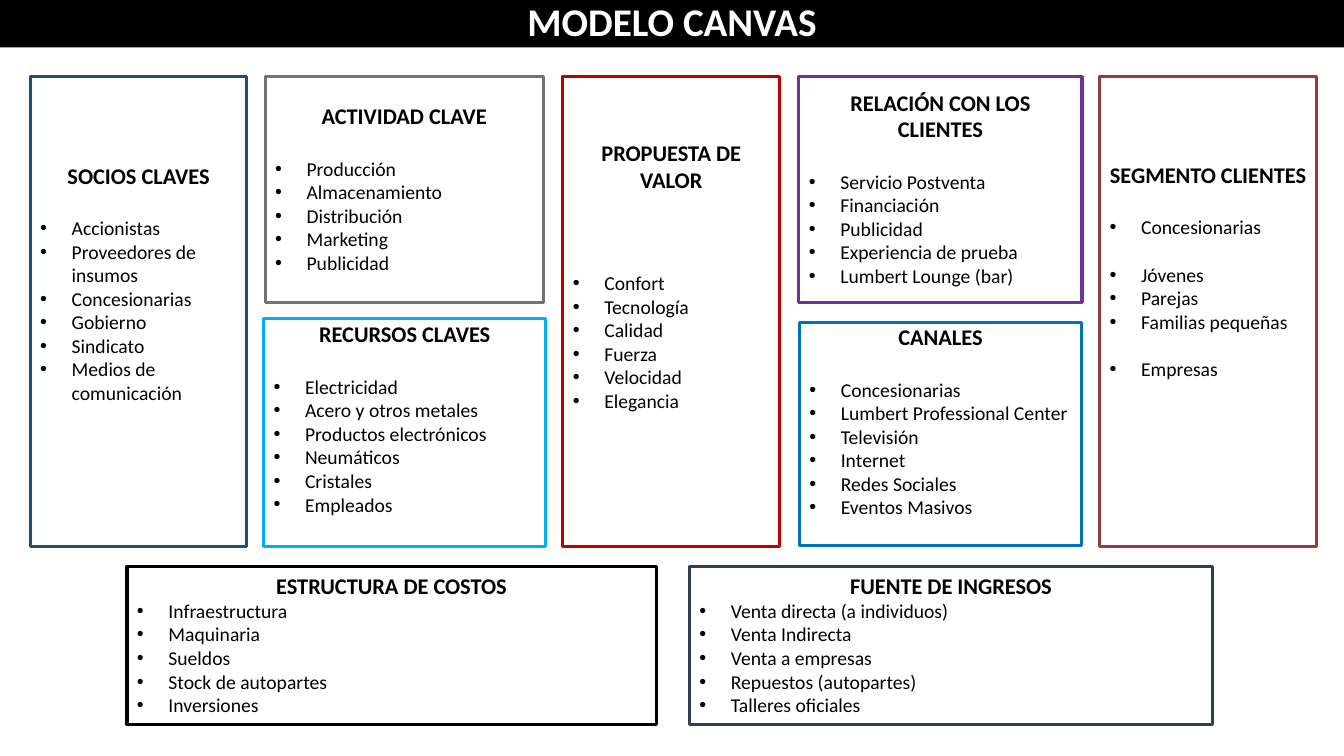
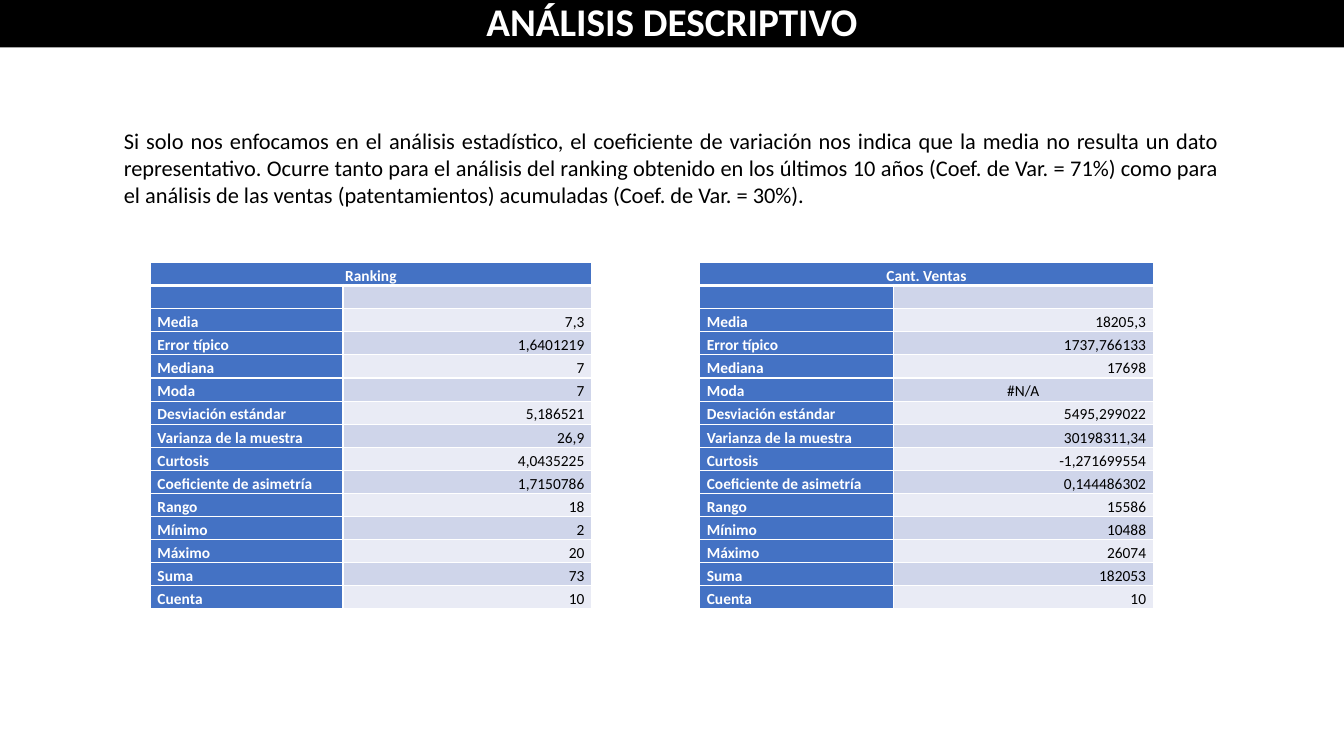
from lxml import etree
from pptx import Presentation
from pptx.dml.color import RGBColor
from pptx.enum import shapes, text
from pptx.oxml import ns
from pptx.util import Pt

FONT = "Calibri"
BLACK = RGBColor(0x00, 0x00, 0x00)
WHITE = RGBColor(0xFF, 0xFF, 0xFF)
SLATE = RGBColor(0x33, 0x3F, 0x50)
NAVY = RGBColor(0x1F, 0x4E, 0x79)
GRAY = RGBColor(0x76, 0x71, 0x71)
MAROON = RGBColor(0x95, 0x3B, 0x3B)
RED = RGBColor(0xC0, 0x00, 0x00)
CYAN = RGBColor(0x00, 0xB0, 0xF0)
PURPLE = RGBColor(0x70, 0x30, 0xA0)
BLUE = RGBColor(0x00, 0x70, 0xC0)
LABEL_FILL = RGBColor(0x44, 0x72, 0xC4)
VALUE_FILLS = (RGBColor(0xE9, 0xEB, 0xF5), RGBColor(0xCF, 0xD5, 0xEA))

WIDTH, HEIGHT = 960, 540
BAND_HEIGHT = 33.8
BULLET_INDENT = 22.5
HEADING_LINE, ITEM_LINE = 19.5, 17.1
ROW_HEIGHT = 16.5
TABLES_TOP = 187.5

# Each block: heading, border, (left, top, width, height), text offset, gap under heading, items
CANVAS = [
    ("ESTRUCTURA DE COSTOS", BLACK, (90.7, 404.6, 378, 113), 4, 0,
     ["Infraestructura", "Maquinaria", "Sueldos", "Stock de autopartes", "Inversiones"]),
    ("FUENTE DE INGRESOS", SLATE, (492.5, 404.6, 373.7, 113), 4, 0,
     ["Venta directa (a individuos)", "Venta Indirecta", "Venta a empresas",
      "Repuestos (autopartes)", "Talleres oficiales"]),
    ("SOCIOS CLAVES", NAVY, (21.6, 54.7, 154.8, 335.5), 61, HEADING_LINE,
     ["Accionistas", "Proveedores de insumos", "Concesionarias", "Gobierno", "Sindicato",
      "Medios de comunicación"]),
    ("ACTIVIDAD CLAVE", GRAY, (189.4, 54.7, 198.7, 161.3), 18.5, HEADING_LINE,
     ["Producción", "Almacenamiento", "Distribución", "Marketing", "Publicidad"]),
    ("SEGMENTO CLIENTES", MAROON, (785.5, 54.7, 154.8, 335.5), 60.3, HEADING_LINE,
     ["Concesionarias", "Jóvenes", "Parejas", "Familias pequeñas", "Empresas"]),
    ("PROPUESTA DE VALOR", RED, (402.1, 54.7, 154.8, 335.5), 44.5,
     2 * HEADING_LINE + ITEM_LINE,
     ["Confort", "Tecnología", "Calidad", "Fuerza", "Velocidad", "Elegancia"]),
    ("RECURSOS CLAVES", CYAN, (188.3, 227.5, 201.6, 162.7), 1.5, HEADING_LINE,
     ["Electricidad", "Acero y otros metales", "Productos electrónicos", "Neumáticos",
      "Cristales", "Empleados"]),
    ("RELACIÓN CON LOS CLIENTES", PURPLE, (570.6, 54.7, 202.3, 161.3), 8.7, HEADING_LINE,
     ["Servicio Postventa", "Financiación", "Publicidad", "Experiencia de prueba",
      "Lumbert Lounge (bar)"]),
    ("CANALES", BLUE, (571, 230.4, 201.6, 159.1), 0.5, HEADING_LINE,
     ["Concesionarias", "Lumbert Professional Center", "Televisión", "Internet",
      "Redes Sociales", "Eventos Masivos"]),
]
GROUP_STARTS = {"Jóvenes", "Empresas"}

ANALYSIS = (
    "Si solo nos enfocamos en el análisis estadístico, el coeficiente de variación nos indica "
    "que la media no resulta un dato representativo. Ocurre tanto para el análisis del ranking "
    "obtenido en los últimos 10 años (Coef. de Var. = 71%) como para el análisis de las ventas "
    "(patentamientos) acumuladas (Coef. de Var. = 30%)."
)
STATISTICS = ["", "Media", "Error típico", "Mediana", "Moda", "Desviación estándar",
              "Varianza de la muestra", "Curtosis", "Coeficiente de asimetría", "Rango",
              "Mínimo", "Máximo", "Suma", "Cuenta"]
SUMMARIES = [
    ("Ranking", 107.5, (137.5, 177.5),
     ["", "7,3", "1,6401219", "7", "7", "5,186521", "26,9", "4,0435225", "1,7150786",
      "18", "2", "20", "73", "10"]),
    ("Cant. Ventas", 499.9, (138.2, 185.6),
     ["", "18205,3", "1737,766133", "17698", "#N/A", "5495,299022", "30198311,34",
      "-1,271699554", "0,144486302", "15586", "10488", "26074", "182053", "10"]),
]


def points(*lengths):
    return [Pt(length) for length in lengths]


def write(paragraph, wording, size, color=BLACK, bold=False, align=text.PP_ALIGN.LEFT):
    paragraph.alignment = align
    run = paragraph.add_run()
    run.text = wording
    run.font.name = FONT
    run.font.size = Pt(size)
    run.font.bold = bold
    run.font.color.rgb = color


def add_titled_slide(deck, wording):
    slide = deck.slides.add_slide(deck.slide_layouts[5])
    band = slide.shapes.title
    band.left, band.top, band.width, band.height = points(0, 0, WIDTH, BAND_HEIGHT)
    band.fill.solid()
    band.fill.fore_color.rgb = BLACK
    frame = band.text_frame
    frame.auto_size = text.MSO_AUTO_SIZE.NONE
    frame.vertical_anchor = text.MSO_ANCHOR.MIDDLE
    frame.margin_top = frame.margin_bottom = 0
    heading = frame.paragraphs[0]
    heading.line_spacing = 0.9
    write(heading, wording, 28, WHITE, True, text.PP_ALIGN.CENTER)
    return slide


def add_bullet(paragraph):
    props = paragraph._p.get_or_add_pPr()
    props.set("marL", str(Pt(BULLET_INDENT)))
    props.set("indent", str(-Pt(BULLET_INDENT)))
    etree.SubElement(props, ns.qn("a:buFont"), typeface="Arial")
    etree.SubElement(props, ns.qn("a:buChar"), char="•")


def add_block(slide, heading, border, place, offset, gap, items):
    block = slide.shapes.add_shape(shapes.MSO_SHAPE.RECTANGLE, *points(*place))
    block.shadow.inherit = False
    block.fill.background()
    block.line.color.rgb = border
    block.line.width = Pt(2.25)
    frame = block.text_frame
    frame.word_wrap = True
    frame.vertical_anchor = text.MSO_ANCHOR.TOP
    frame.margin_top, frame.margin_bottom = points(offset, 0)
    write(frame.paragraphs[0], heading, 16, bold=True, align=text.PP_ALIGN.CENTER)
    for index, item in enumerate(items):
        entry = frame.add_paragraph()
        write(entry, item, 14)
        add_bullet(entry)
        if index == 0:
            entry.space_before = Pt(gap)
        elif item in GROUP_STARTS:
            entry.space_before = Pt(ITEM_LINE)


def set_borders(cell, header):
    props = cell._tc.get_or_add_tcPr()
    for side in "LRTB":
        thickness = 3 if header and side == "B" else 1
        edge = etree.SubElement(props, ns.qn(f"a:ln{side}"), w=str(Pt(thickness)))
        paint = etree.SubElement(edge, ns.qn("a:solidFill"))
        etree.SubElement(paint, ns.qn("a:srgbClr"), val=str(WHITE))


def fill_cell(cell, wording, fill, color, bold, align, header=False):
    set_borders(cell, header)
    cell.fill.solid()
    cell.fill.fore_color.rgb = fill
    cell.vertical_anchor = text.MSO_ANCHOR.BOTTOM
    cell.margin_left, cell.margin_right, cell.margin_top, cell.margin_bottom = points(5, 5, 0, 0)
    paragraph = cell.text_frame.paragraphs[0]
    paragraph.line_spacing = 1.07
    if wording:
        write(paragraph, wording, 11, color, bold, align)
    else:
        etree.SubElement(paragraph._p, ns.qn("a:endParaRPr"), sz="1100")


def add_summary(slide, heading, left, widths, values):
    rows = len(values) + 1
    table = slide.shapes.add_table(
        rows, 2, *points(left, TABLES_TOP, sum(widths), rows * ROW_HEIGHT)).table
    for column, width in zip(table.columns, widths):
        column.width = Pt(width)
    for row in table.rows:
        row.height = Pt(ROW_HEIGHT)
    table.cell(0, 0).merge(table.cell(0, 1))
    for column, wording in enumerate((heading, "")):
        fill_cell(table.cell(0, column), wording, LABEL_FILL, WHITE, True,
                  text.PP_ALIGN.CENTER, header=True)
    for row, (label, value) in enumerate(zip(STATISTICS, values), start=1):
        fill_cell(table.cell(row, 0), label, LABEL_FILL, WHITE, True, text.PP_ALIGN.LEFT)
        align = text.PP_ALIGN.CENTER if value == "#N/A" else text.PP_ALIGN.RIGHT
        fill_cell(table.cell(row, 1), value, VALUE_FILLS[row % 2], BLACK, False, align)


def main():
    deck = Presentation()
    deck.slide_width, deck.slide_height = points(WIDTH, HEIGHT)

    canvas = add_titled_slide(deck, "MODELO CANVAS")
    for block in CANVAS:
        add_block(canvas, *block)

    analysis = add_titled_slide(deck, "ANÁLISIS DESCRIPTIVO")
    frame = analysis.shapes.add_textbox(*points(81.4, 87.1, 796.3, 65.5)).text_frame
    frame.word_wrap = True
    write(frame.paragraphs[0], ANALYSIS, 16, align=text.PP_ALIGN.JUSTIFY)
    for summary in SUMMARIES:
        add_summary(analysis, *summary)

    deck.save("out.pptx")


if __name__ == "__main__":
    main()
